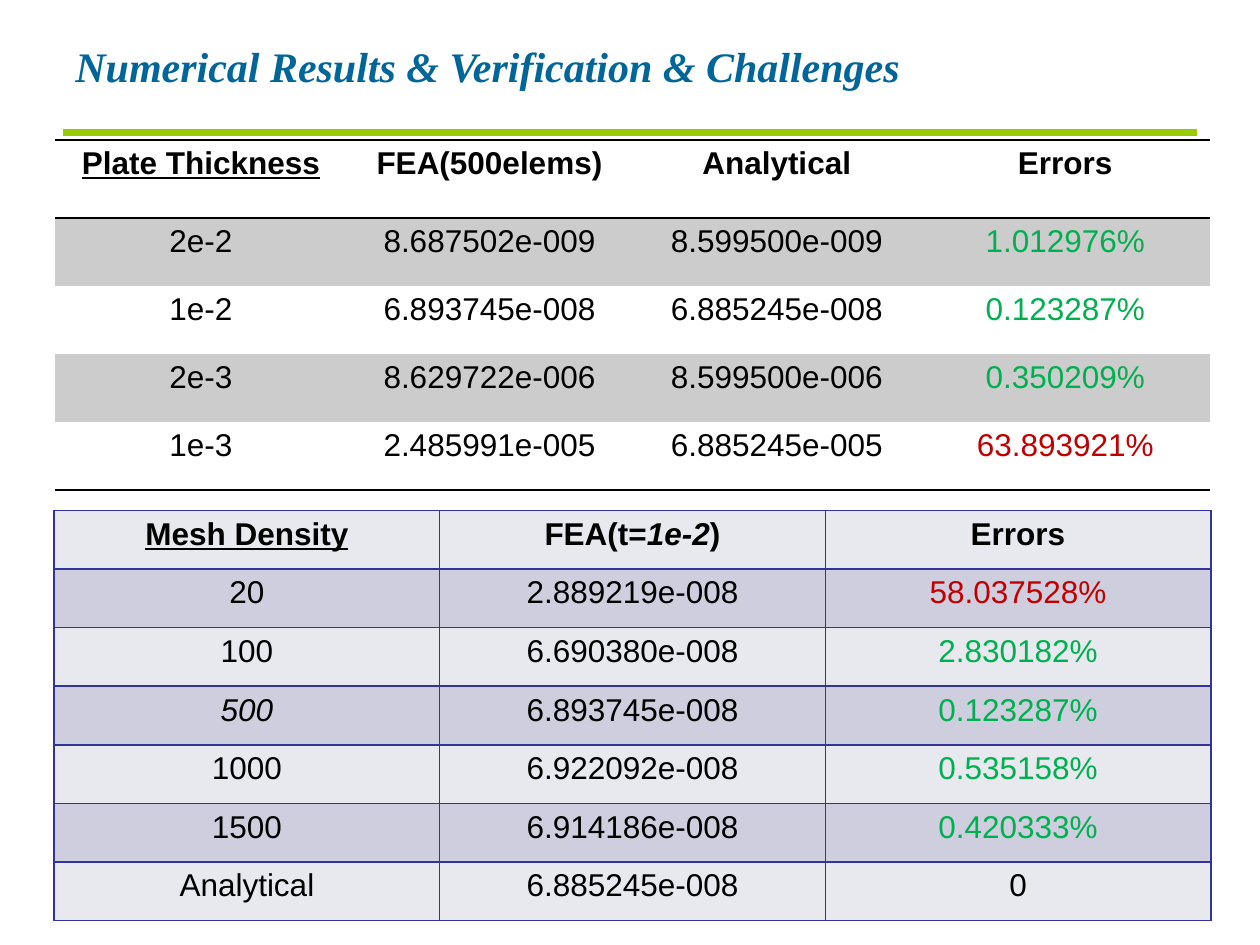
from dataclasses import dataclass

from lxml import etree
from pptx import Presentation
from pptx import util as u
from pptx.dml.color import RGBColor
from pptx.enum import shapes, text
from pptx.oxml import ns

HUES = {
    "title": "006699", "rule": "99CC00", "ink": "000000", "good": "00B050",
    "bad": "C00000", "grid": "333399", "gray": "CCCCCC", "pale": "E8E8EF", "dusk": "CECEDE",
}
PLAIN = "{2D5ABB26-0587-4C30-8999-92F81FD0307C}"
LIMIT = 5


@dataclass
class Grid:
    """A table: its place, sizes, row colours, borders and wording, with *italics* starred."""
    left: float
    top: float
    cols: list[float]
    rows: list[float]
    bands: tuple[str | None, str | None]
    edge: str
    boxed: bool
    cells: list[list[str]]


GRIDS = [
    Grid(0.44, 1.11, [2.31, 2.27, 2.29, 2.29], [0.62] + [0.54] * 4, (None, "gray"), "ink", False, [
        ["Plate Thickness", "FEA(500elems)", "Analytical", "Errors"],
        ["2e-2", "8.687502e-009", "8.599500e-009", "1.012976%"],
        ["1e-2", "6.893745e-008", "6.885245e-008", "0.123287%"],
        ["2e-3", "8.629722e-006", "8.599500e-006", "0.350209%"],
        ["1e-3", "2.485991e-005", "6.885245e-005", "63.893921%"],
    ]),
    Grid(0.43, 4.05, [3.06] * 3, [3.26 / 7] * 7, ("pale", "dusk"), "grid", True, [
        ["Mesh Density", "FEA(t=*1e-2*)", "Errors"],
        ["20", "2.889219e-008", "58.037528%"],
        ["100", "6.690380e-008", "2.830182%"],
        ["*500*", "6.893745e-008", "0.123287%"],
        ["1000", "6.922092e-008", "0.535158%"],
        ["1500", "6.914186e-008", "0.420333%"],
        ["Analytical", "6.885245e-008", "0"],
    ]),
]


def rgb(name: str) -> RGBColor:
    """Look up a named colour."""
    return RGBColor.from_string(HUES[name])


def style(run, face: str, size: int, hue: str, bold: bool, slant: bool) -> None:
    """Format one run."""
    font = run.font
    font.name, font.size, font.bold, font.italic = face, u.Pt(size), bold, slant
    font.color.rgb = rgb(hue)


def tone(word: str) -> str:
    """Choose the text colour, which for an error depends on its size."""
    if not word.endswith("%"):
        return "ink"
    return "bad" if float(word[:-1]) > LIMIT else "good"


def edges(cell, sides: str, hue: str) -> None:
    """Draw the given sides of a cell and clear the others."""
    props = cell._tc.get_or_add_tcPr()
    for spot, side in enumerate("LRTB"):
        line = etree.Element(ns.qn(f"a:ln{side}"), w=str(u.Pt(1)))
        if side in sides:
            fill = etree.SubElement(line, ns.qn("a:solidFill"))
            etree.SubElement(fill, ns.qn("a:srgbClr"), val=HUES[hue])
        else:
            etree.SubElement(line, ns.qn("a:noFill"))
        props.insert(spot, line)


def write(cell, word: str, head: bool, under: bool) -> None:
    """Set the centred wording of a cell."""
    para = cell.text_frame.paragraphs[0]
    para.alignment = text.PP_ALIGN.CENTER
    for spot, part in enumerate(word.split("*")):
        if part:
            run = para.add_run()
            run.text = part
            style(run, "Arial", 18, tone(word), head, spot % 2 == 1)
            run.font.underline = under


def draw(slide, grid: Grid) -> None:
    """Add one table."""
    frame = slide.shapes.add_table(
        len(grid.rows), len(grid.cols), u.Inches(grid.left), u.Inches(grid.top),
        u.Inches(sum(grid.cols)), u.Inches(sum(grid.rows)))
    table = frame.table
    table.first_row = table.horz_banding = False
    table._tbl.tblPr.find(ns.qn("a:tableStyleId")).text = PLAIN
    for col, wide in zip(table.columns, grid.cols):
        col.width = u.Inches(wide)
    for row, tall in zip(table.rows, grid.rows):
        row.height = u.Inches(tall)
    last = len(grid.rows) - 1
    for r, words in enumerate(grid.cells):
        band = grid.bands[r % 2]
        sides = "LRTB" if grid.boxed else {0: "TB", 1: "T", last: "B"}.get(r, "")
        for c, word in enumerate(words):
            cell = table.cell(r, c)
            if band:
                cell.fill.solid()
                cell.fill.fore_color.rgb = rgb(band)
            else:
                cell.fill.background()
            edges(cell, sides, grid.edge)
            write(cell, word, r == 0, r == c == 0)


def title(slide) -> None:
    """Add the heading and the rule below it."""
    rule = slide.shapes.add_connector(
        shapes.MSO_CONNECTOR.STRAIGHT,
        u.Inches(0.5), u.Inches(1.05), u.Inches(9.5), u.Inches(1.05))
    rule.line.color.rgb = rgb("rule")
    rule.line.width = u.Pt(4)
    etree.SubElement(rule._element.spPr, ns.qn("a:effectLst"))
    box = slide.shapes.add_textbox(u.Inches(0.5), u.Inches(0.25), u.Inches(9), u.Inches(0.55))
    frame = box.text_frame
    frame.word_wrap = True
    frame.vertical_anchor = text.MSO_ANCHOR.MIDDLE
    frame.text = "Numerical Results & Verification & Challenges"
    style(frame.paragraphs[0].runs[0], "Times New Roman", 24, "title", True, True)


def main() -> None:
    """Build and save the slide."""
    deck = Presentation()
    deck.slide_width, deck.slide_height = u.Inches(10), u.Inches(7.5)
    slide = deck.slides.add_slide(deck.slide_layouts[6])
    title(slide)
    for grid in GRIDS:
        draw(slide, grid)
    deck.save("out.pptx")


if __name__ == "__main__":
    main()
